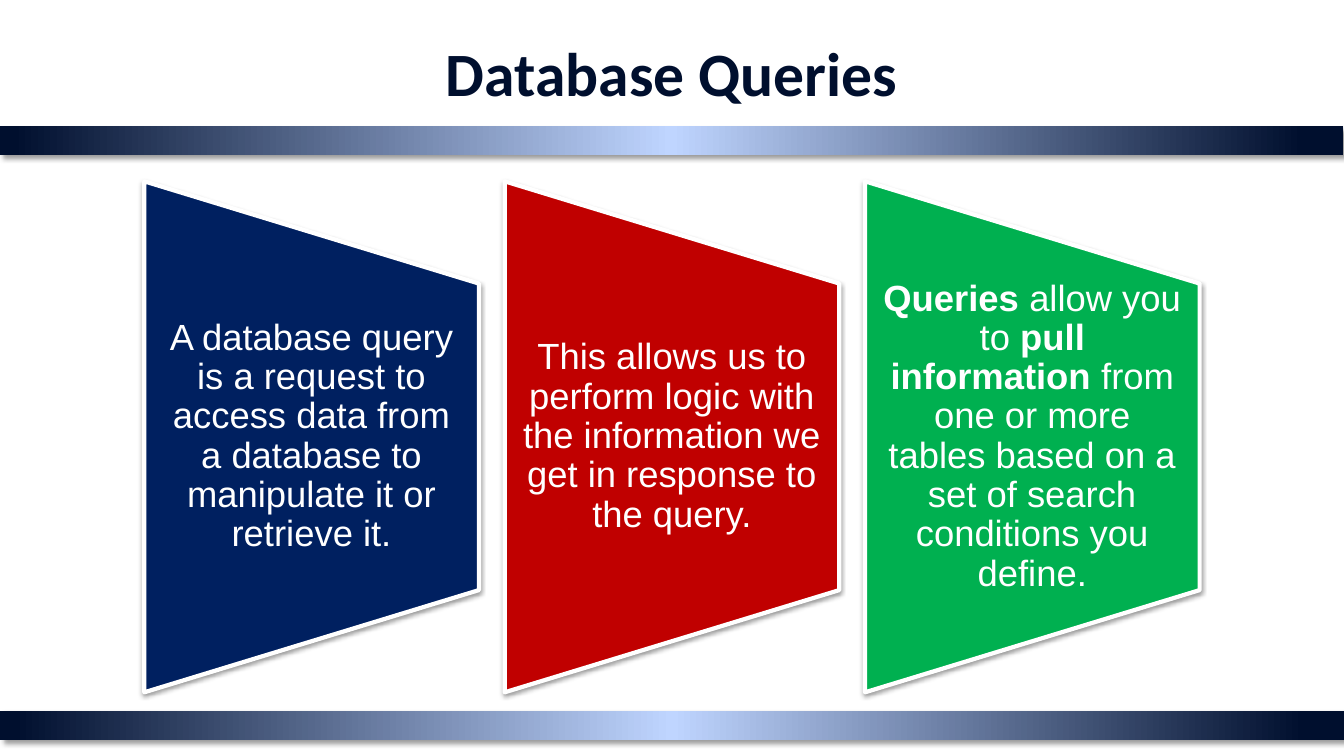
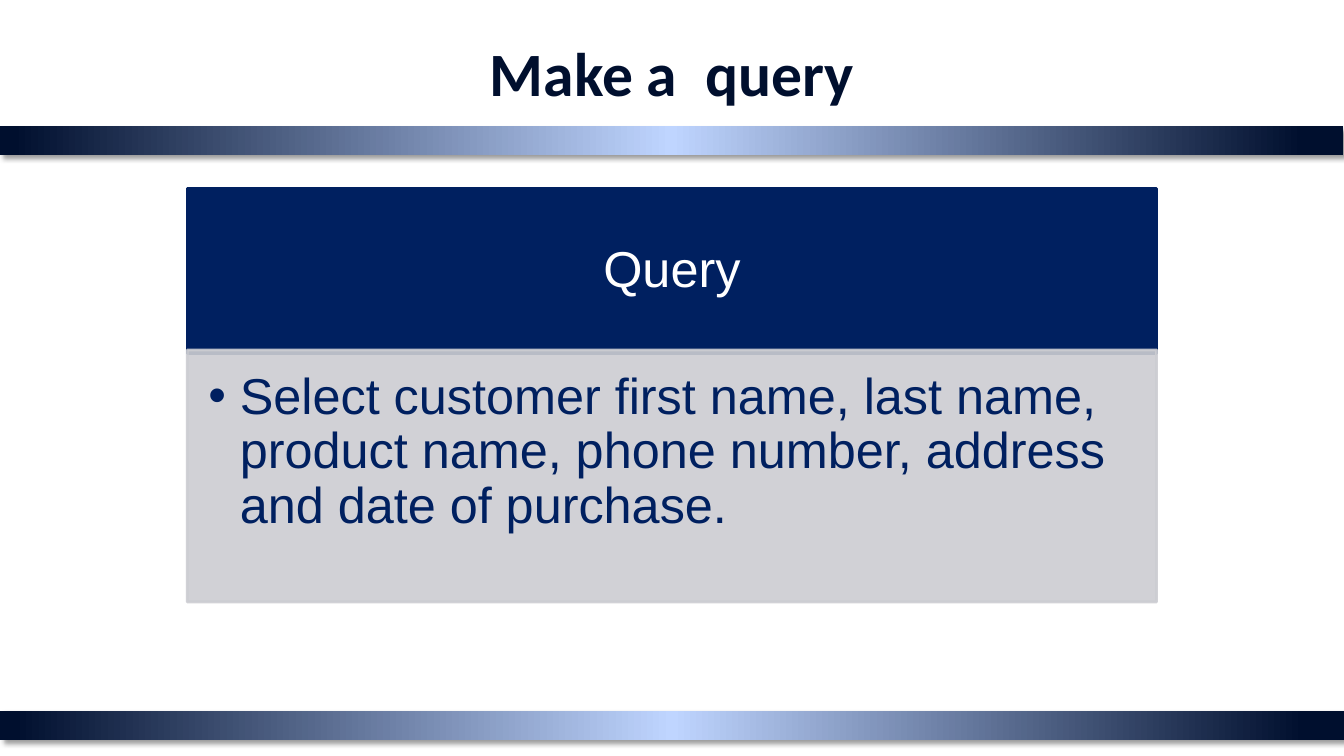
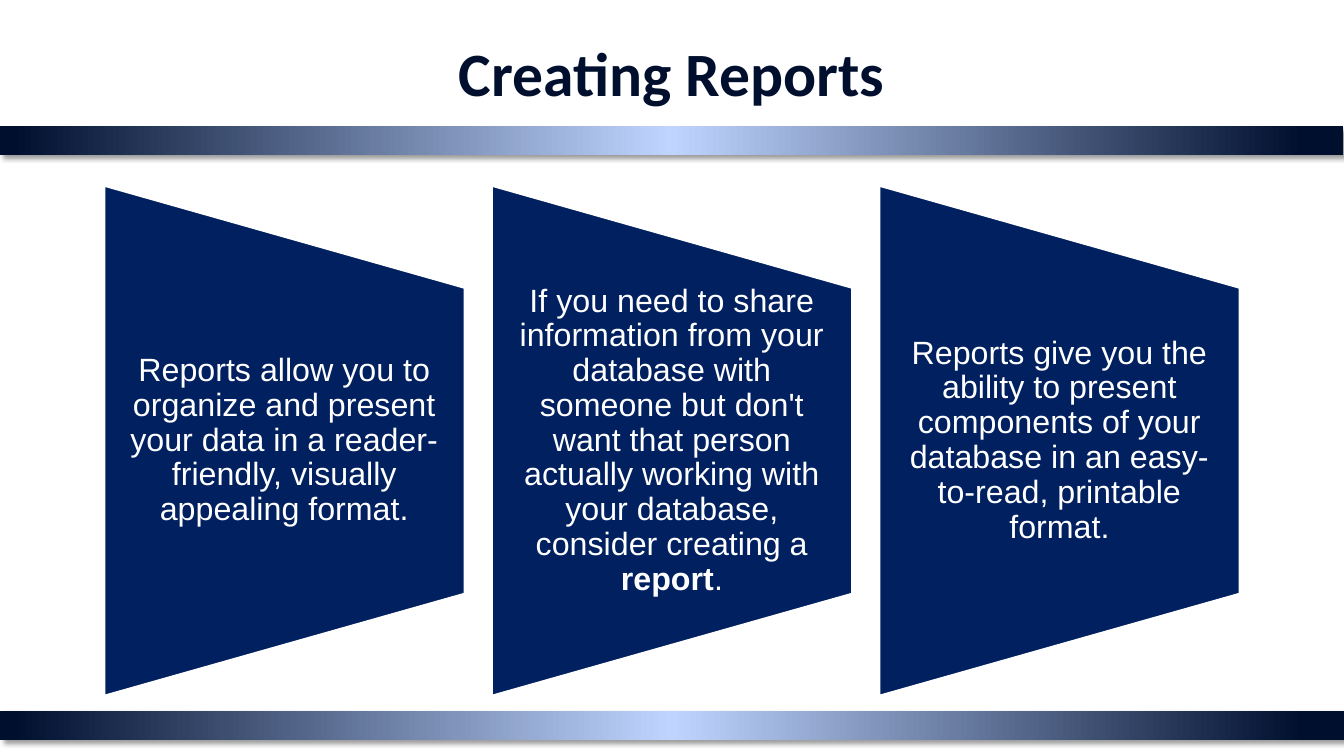
from dataclasses import dataclass

from lxml import etree
from pptx import Presentation
from pptx.dml.color import RGBColor
from pptx.enum.shapes import MSO_SHAPE
from pptx.enum.text import MSO_ANCHOR, PP_ALIGN
from pptx.oxml.ns import qn
from pptx.util import Pt

RECT = MSO_SHAPE.RECTANGLE
PANEL = MSO_SHAPE.FLOWCHART_MANUAL_OPERATION
MIDDLE, TOP = MSO_ANCHOR.MIDDLE, MSO_ANCHOR.TOP
CENTER, LEFT = PP_ALIGN.CENTER, PP_ALIGN.LEFT

WIDTH, HEIGHT = 960, 540


@dataclass(frozen=True)
class Theme:
    # Colours
    ink: str = "000F2E"
    glow: str = "BFD5FF"
    navy: str = "002060"
    red: str = "C00000"
    green: str = "00B050"
    gray: str = "CCCDD2"
    white: str = "FFFFFF"
    black: str = "000000"
    # Fonts and type sizes
    head: str = "Calibri"
    body: str = "Arial"
    title: int = 44
    large: int = 36
    medium: int = 26
    small: int = 23


THEME = Theme()


def sub(node, tag, **attrs):
    return etree.SubElement(node, qn(tag), attrs)


def rgb(code):
    return RGBColor.from_string(code)


class Deck:
    def __init__(self, theme):
        self.theme = theme
        self.show = Presentation()
        self.show.slide_width = Pt(WIDTH)
        self.show.slide_height = Pt(HEIGHT)
        self.slide = None

    # Slide with its shared title and bands
    def page(self, title):
        t = self.theme
        self.slide = self.show.slides.add_slide(self.show.slide_layouts[6])
        self.band(0, 507.6)
        self.band(-0.6, 90)
        box = self.label(48, 6, 864, 90)
        self.put(box, title, t.title, t.ink, face=t.head, bold=True,
                 pad=(7.2, 3.6, 7.2, 3.6), space=1)

    def band(self, x, y):
        t = self.theme
        bar = self.shape(RECT, x, y, WIDTH, 21)
        bar.fill.gradient()
        bar.fill.gradient_angle = 180
        stops = bar.element.spPr.find(qn("a:gradFill")).find(qn("a:gsLst"))
        for old in list(stops):
            stops.remove(old)
        for spot, color in ((0, t.ink), (3, t.ink), (50, t.glow),
                            (99, t.ink), (100, t.ink)):
            stop = sub(stops, "a:gs", pos=str(spot * 1000))
            sub(stop, "a:srgbClr", val=color)
        self.shade(bar, 40, 4, 3, 45)

    def shape(self, kind, x, y, w, h, fill=None, line=None, weight=2):
        item = self.slide.shapes.add_shape(kind, Pt(x), Pt(y), Pt(w), Pt(h))
        item.shadow.inherit = False
        if fill:
            item.fill.solid()
            item.fill.fore_color.rgb = rgb(fill)
        if line:
            item.line.color.rgb = rgb(line)
            item.line.width = Pt(weight)
        else:
            item.line.fill.background()
        return item

    def label(self, x, y, w, h):
        return self.slide.shapes.add_textbox(Pt(x), Pt(y), Pt(w), Pt(h))

    def shade(self, item, alpha, blur, dist, angle):
        effects = item.element.spPr.find(qn("a:effectLst"))
        outer = sub(effects, "a:outerShdw", blurRad=str(Pt(blur)),
                    dist=str(Pt(dist)), dir=str(angle * 60000),
                    algn="tl", rotWithShape="0")
        color = sub(outer, "a:srgbClr", val=self.theme.black)
        sub(color, "a:alpha", val=str(alpha * 1000))

    def fade(self, item, alpha):
        for color in item.element.spPr.iter(qn("a:srgbClr")):
            sub(color, "a:alpha", val=str(alpha * 1000))

    # Text is a string, or a list of (words, bold) pairs
    def put(self, item, text, size, color, face=None, bold=False,
            pad=(0, 0, 0, 0), anchor=MIDDLE, align=CENTER, space=0.9,
            bullet=0):
        frame = item.text_frame
        frame.word_wrap = True
        frame.vertical_anchor = anchor
        (frame.margin_left, frame.margin_top,
         frame.margin_right, frame.margin_bottom) = map(Pt, pad)
        para = frame.paragraphs[0]
        para.alignment = align
        para.line_spacing = space
        if bullet:
            props = para._p.get_or_add_pPr()
            props.set("marL", str(Pt(bullet)))
            props.set("indent", str(Pt(-bullet)))
            sub(props, "a:buFont", typeface=self.theme.body)
            sub(props, "a:buChar", char="•")
        font = para.font
        font.name = face or self.theme.body
        font.size = Pt(size)
        font.color.rgb = rgb(color)
        parts = [(text, bold)] if isinstance(text, str) else text
        for words, strong in parts:
            run = para.add_run()
            run.text = words
            if strong:
                run.font.bold = True

    # Centred row of panels that taper to the right
    def panels(self, items, mid, wide, gap, size, pad, weight, shadow=False):
        tall = 365
        room = tall * 0.6
        count = len(items)
        start = (WIDTH - count * wide - (count - 1) * gap) / 2
        for i, (fill, text) in enumerate(items):
            x = start + i * (wide + gap)
            # The unturned frame shares its centre with the turned one
            panel = self.shape(PANEL, x + (wide - tall) / 2, mid - wide / 2,
                               tall, wide, fill, self.theme.white, weight)
            panel.rotation = 270
            if shadow:
                self.shade(panel, 38, 3.1, 1.6, 90)
            box = self.label(x, mid - room / 2, wide, room)
            self.put(box, text, size, self.theme.white,
                     pad=(pad, 0, pad, 0))

    # Heading block above a bulleted block
    def card(self, head, text):
        t = self.theme
        x, wide = 133.8, 692.4
        top = self.shape(RECT, x, 134.6, wide, 118, t.navy, t.navy)
        self.put(top, head, t.large, t.white, pad=(20, 11.5, 20, 11.5))
        base = self.shape(RECT, x, 250, wide, 180, t.gray, t.gray)
        self.fade(base, 90)
        self.put(base, text, t.large, t.navy, pad=(15, 15, 20, 23),
                 anchor=TOP, align=LEFT, bullet=22.5)


def main():
    deck = Deck(THEME)

    # Queries
    deck.page("Database Queries")
    deck.panels([
        (THEME.navy, "A database query is a request to access data from a "
                     "database to manipulate it or retrieve it."),
        (THEME.red, "This allows us to perform logic with the information "
                    "we get in response to the query."),
        (THEME.green, [
            ("Queries", True),
            (" allow you to ", False),
            ("pull information ", True),
            ("from one or more tables based on a set of search conditions "
             "you define.", False)]),
    ], mid=312, wide=239, gap=18.4, size=THEME.medium, pad=13, weight=3,
        shadow=True)

    # Sample query
    deck.page("Make a  query")
    deck.card("Query", "Select customer first name, last name, product name, "
                       "phone number, address and date of purchase.")

    # Reports
    deck.page("Creating Reports")
    reports = [
        "Reports allow you to organize and present your data in a "
        "reader-friendly, visually appealing format.",
        [("If you need to share information from your database with someone "
          "but don't want that person actually working with your database, "
          "consider creating a ", False),
         ("report", True),
         (".", False)],
        "Reports give you the ability to present components of your "
        "database in an easy-to-read, printable format.",
    ]
    deck.panels([(THEME.navy, text) for text in reports], mid=314.8,
                wide=257.8, gap=19, size=THEME.small, pad=11.5, weight=2)

    deck.show.save("out.pptx")


if __name__ == "__main__":
    main()
